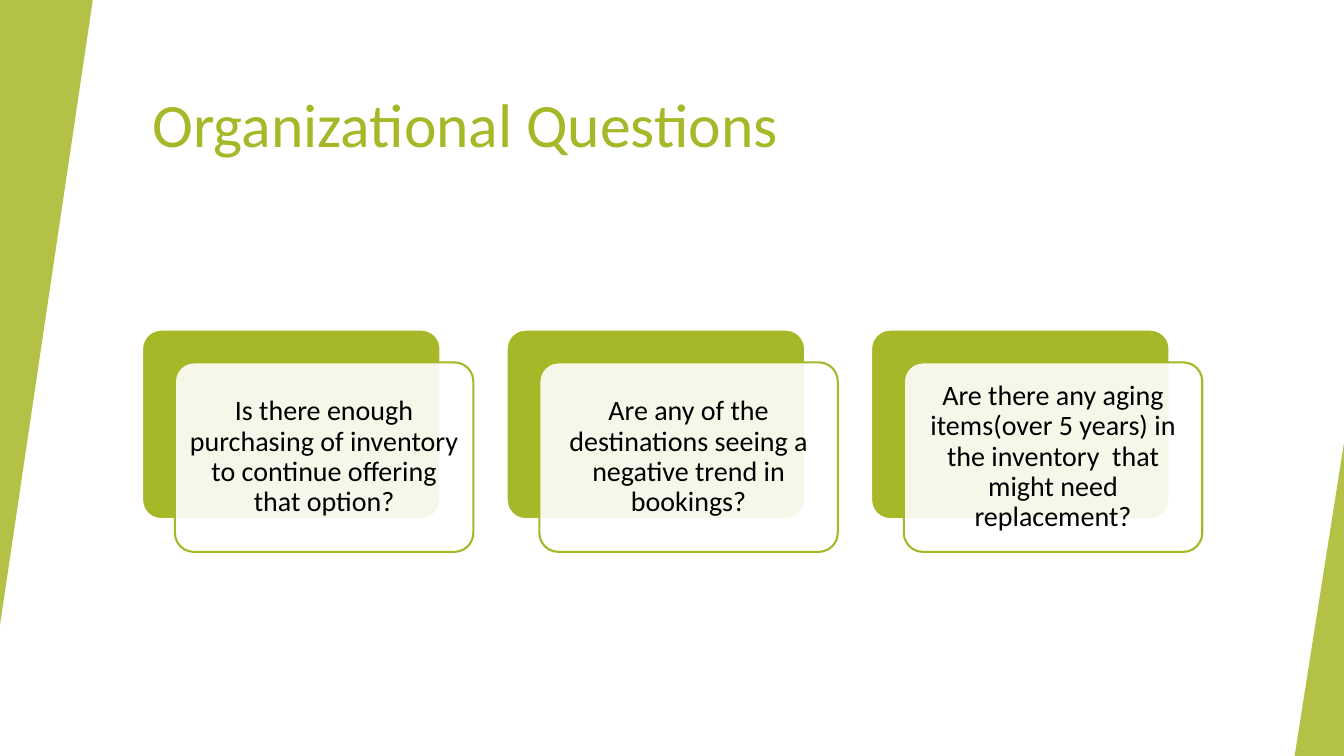
from lxml.etree import SubElement
from pptx import Presentation
from pptx.dml.color import RGBColor
from pptx.enum.shapes import MSO_SHAPE
from pptx.enum.text import MSO_ANCHOR, PP_ALIGN
from pptx.oxml.ns import qn
from pptx.util import Inches, Pt

# Content
TITLE = "Organizational Questions"
QUESTIONS = [
    "Is there enough purchasing of inventory to continue offering that option?",
    "Are any of the destinations seeing a negative trend in bookings?",
    "Are there any aging items(over 5 years) in the inventory  that might need replacement?",
]

GREEN = RGBColor(0xA6, 0xB7, 0x27)
WHITE = RGBColor(0xFF, 0xFF, 0xFF)
BLACK = RGBColor(0, 0, 0)

# Layout in inches
WIDE, HIGH = 13.33, 7.5
LEFT, TOP = 1.41, 3.27
CARD_W, CARD_H = 2.96, 1.88
STEP = 3.615
SHIFT = 0.325
# Edge wedges: left, top, width, height, rotation
WEDGES = [(0, 0, 0.92, 6.2, 180), (12.84, 4.39, 0.49, 3.11, 0)]


def add_box(slide, kind, box, fill, line=None, alpha=100, adj=0.1):
    shape = slide.shapes.add_shape(kind, *[Inches(v) for v in box])
    shape.shadow.inherit = False
    shape.adjustments[0] = adj
    shape.fill.solid()
    shape.fill.fore_color.rgb = fill
    if alpha < 100:
        color = shape.fill._xPr.find(qn("a:solidFill"))[0]
        SubElement(color, qn("a:alpha"), val=str(alpha * 1000))
    if line is None:
        shape.line.fill.background()
    else:
        shape.line.color.rgb = line
        shape.line.width = Pt(1.5)
    return shape


def put_text(shape, text, size=20, color=BLACK, align=PP_ALIGN.CENTER, pad=0.08):
    frame = shape.text_frame
    frame.word_wrap = True
    frame.vertical_anchor = MSO_ANCHOR.MIDDLE
    frame.margin_left = frame.margin_right = Inches(pad)
    frame.margin_top = frame.margin_bottom = Inches(min(pad, 0.08))
    para = frame.paragraphs[0]
    para.alignment = align
    para.line_spacing = 0.9
    run = para.add_run()
    run.text = text
    run.font.name = "Calibri"
    run.font.size = Pt(size)
    run.font.color.rgb = color


def main():
    deck = Presentation()
    deck.slide_width, deck.slide_height = Inches(WIDE), Inches(HIGH)
    slide = deck.slides.add_slide(deck.slide_layouts[5])
    slide.background.fill.solid()
    slide.background.fill.fore_color.rgb = WHITE

    # Title
    title = slide.shapes.title
    title.left, title.top = Inches(LEFT), Inches(0.67)
    title.width, title.height = Inches(11.15), Inches(1.2)
    put_text(title, TITLE, size=44, color=GREEN, align=PP_ALIGN.LEFT, pad=0.1)

    # Edge wedges
    for *box, turn in WEDGES:
        wedge = add_box(slide, MSO_SHAPE.ISOSCELES_TRIANGLE, box, GREEN, alpha=85, adj=1)
        wedge.rotation = turn

    # Question cards, each over a green plate
    for i, text in enumerate(QUESTIONS):
        x = LEFT + i * STEP
        add_box(slide, MSO_SHAPE.ROUNDED_RECTANGLE, (x, TOP, CARD_W, CARD_H), GREEN, line=WHITE)
        card = add_box(slide, MSO_SHAPE.ROUNDED_RECTANGLE,
                       (x + SHIFT, TOP + SHIFT, CARD_W, CARD_H), WHITE, line=GREEN, alpha=90)
        put_text(card, text)

    deck.save("out.pptx")


if __name__ == "__main__":
    main()
